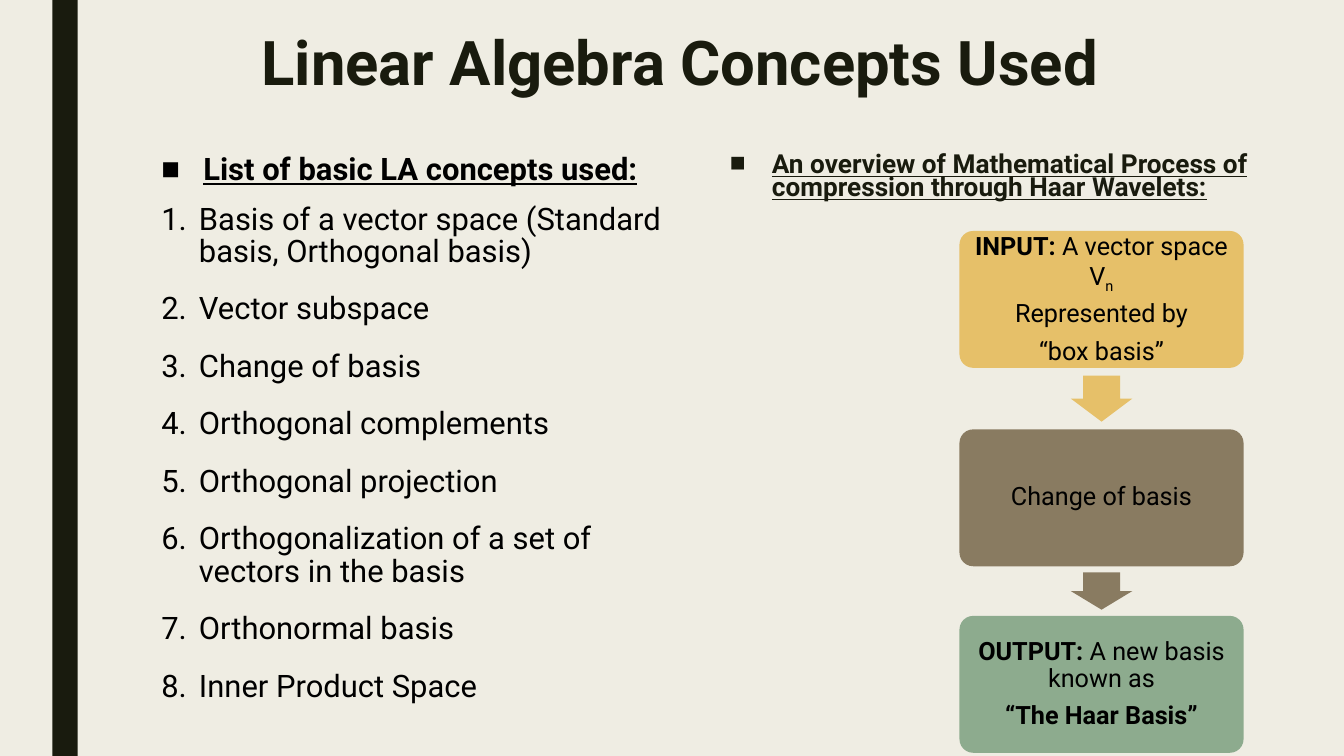
import pptx
import pptx.util
import pptx.dml.color
import pptx.enum.shapes
import pptx.enum.text
import lxml.etree

Cm = pptx.util.Cm
Pt = pptx.util.Pt
RGBColor = pptx.dml.color.RGBColor
SHAPE = pptx.enum.shapes.MSO_SHAPE
ALIGN = pptx.enum.text.PP_ALIGN
ANCHOR = pptx.enum.text.MSO_ANCHOR
FIT = pptx.enum.text.MSO_AUTO_SIZE

CREAM = RGBColor(0xEF, 0xED, 0xE3)
DARK = RGBColor(0x19, 0x1B, 0x0E)
BLACK = RGBColor(0, 0, 0)
GOLD = RGBColor(0xE6, 0xC0, 0x69)
BROWN = RGBColor(0x89, 0x7B, 0x61)
GREEN = RGBColor(0x8D, 0xAB, 0x8E)
FONT = "Roboto"

TITLE = "Linear Algebra Concepts Used"
LEFT = "List of basic LA concepts used:"
RIGHT = "An overview of Mathematical Process of compression through Haar Wavelets:"
TOPICS = [
    "Basis of a vector space (Standard basis, Orthogonal basis)",
    "Vector subspace",
    "Change of basis",
    "Orthogonal complements",
    "Orthogonal projection",
    "Orthogonalization of a set of vectors in the basis",
    "Orthonormal basis",
    "Inner Product Space",
]
STEPS = [
    (5.82, GOLD, [
        [("INPUT: ", "bold"), ("A vector space V", ""), ("n", "sub")],
        [("Represented by", "")],
        [("“box basis”", "")],
    ]),
    (10.82, BROWN, [[("Change of basis", "")]]),
    (15.52, GREEN, [
        [("OUTPUT: ", "bold"), ("A new basis known as", "")],
        [("“The Haar Basis”", "bold")],
    ]),
]
AREAS = [
    (3.81, 0.69, 26.67, 2.57),
    (3.81, 3.78, 13.13, 14.86),
    (18.14, 3.78, 14.78, 14.86),
]
BOX_X, BOX_W, BOX_H = 24.18, 7.16, 3.45
HEAD_W = 1.55


def write(par, text, size=18, color=BLACK, bold=False, line=False, sub=False):
    run = par.add_run()
    run.text = text
    font = run.font
    font.name, font.size, font.bold = FONT, Pt(size), bold
    font.underline = line
    font.color.rgb = color
    if sub:
        font._element.set("baseline", "-25000")


def next_par(frame):
    first = frame.paragraphs[0]
    return first if not first.runs else frame.add_paragraph()


def space(par, lines, before, after, align):
    par.line_spacing = lines
    par.space_before, par.space_after = Pt(before), Pt(after)
    par.alignment = align


def bullet(par, indent, tag, **attrs):
    props = par._p.get_or_add_pPr()
    props.set("marL", str(Cm(indent)))
    props.set("indent", str(-Cm(indent)))
    space_name = lxml.etree.QName(props).namespace
    if tag == "buChar":
        font = lxml.etree.SubElement(props, f"{{{space_name}}}buFont")
        font.set("typeface", "Arial")
    lxml.etree.SubElement(props, f"{{{space_name}}}{tag}", attrs)


def add_shape(slide, kind, area, color):
    shape = slide.shapes.add_shape(kind, *map(Cm, area))
    shape.shadow.inherit = False
    shape.fill.solid()
    shape.fill.fore_color.rgb = color
    shape.line.fill.background()
    return shape


def fill_text(slide):
    frames = []
    for holder, area in zip(slide.placeholders, AREAS):
        holder.left, holder.top, holder.width, holder.height = map(Cm, area)
        frame = holder.text_frame
        frame.word_wrap = True
        frame.auto_size = FIT.NONE
        frame.vertical_anchor = ANCHOR.TOP
        frames.append(frame)
    title, left, right = frames

    par = next_par(title)
    space(par, 0.89, 0, 0, ALIGN.CENTER)
    write(par, TITLE, size=44, color=DARK, bold=True)

    heads = [(left, LEFT, 22.1, BLACK, 0.87, 2), (right, RIGHT, 18.7, DARK, 0.74, 10)]
    for frame, text, size, color, lines, before in heads:
        par = next_par(frame)
        space(par, lines, before, 2, ALIGN.LEFT)
        bullet(par, 1.06, "buChar", char="■")
        write(par, text, size=size, color=color, bold=True, line=True)

    for topic in TOPICS:
        par = next_par(left)
        space(par, 0.87, 10, 8, ALIGN.LEFT)
        bullet(par, 0.95, "buAutoNum", type="arabicPeriod")
        write(par, topic, size=22.1)


def add_step(slide, top, color, lines):
    box = add_shape(slide, SHAPE.ROUNDED_RECTANGLE, (BOX_X, top, BOX_W, BOX_H), color)
    box.adjustments[0] = 0.1
    frame = box.text_frame
    frame.word_wrap = True
    frame.vertical_anchor = ANCHOR.MIDDLE
    frame.margin_left = frame.margin_right = Cm(0.28)
    frame.margin_top = frame.margin_bottom = Cm(0.28)
    for line in lines:
        par = next_par(frame)
        space(par, 0.9, 0, 7, ALIGN.CENTER)
        for text, style in line:
            write(par, text, bold=style == "bold", sub=style == "sub")


def add_arrow(slide, top, below, color):
    gap = below - top - BOX_H
    size = 0.75 * gap
    mid_x = BOX_X + BOX_W / 2
    mid_y = below - gap / 2
    area = (mid_x - size / 2, mid_y - HEAD_W / 2, size, HEAD_W)
    arrow = add_shape(slide, SHAPE.RIGHT_ARROW, area, color)
    arrow.rotation = 90
    arrow.adjustments[0] = 0.6
    arrow.adjustments[1] = 0.5


def main():
    deck = pptx.Presentation()
    deck.slide_width, deck.slide_height = Cm(33.87), Cm(19.05)
    slide = deck.slides.add_slide(deck.slide_layouts[3])
    slide.background.fill.solid()
    slide.background.fill.fore_color.rgb = CREAM
    add_shape(slide, SHAPE.RECTANGLE, (1.32, 0, 0.64, 19.05), DARK)
    fill_text(slide)
    for step in STEPS:
        add_step(slide, *step)
    for step, after in zip(STEPS, STEPS[1:]):
        add_arrow(slide, step[0], after[0], step[1])
    deck.save("out.pptx")


if __name__ == "__main__":
    main()
